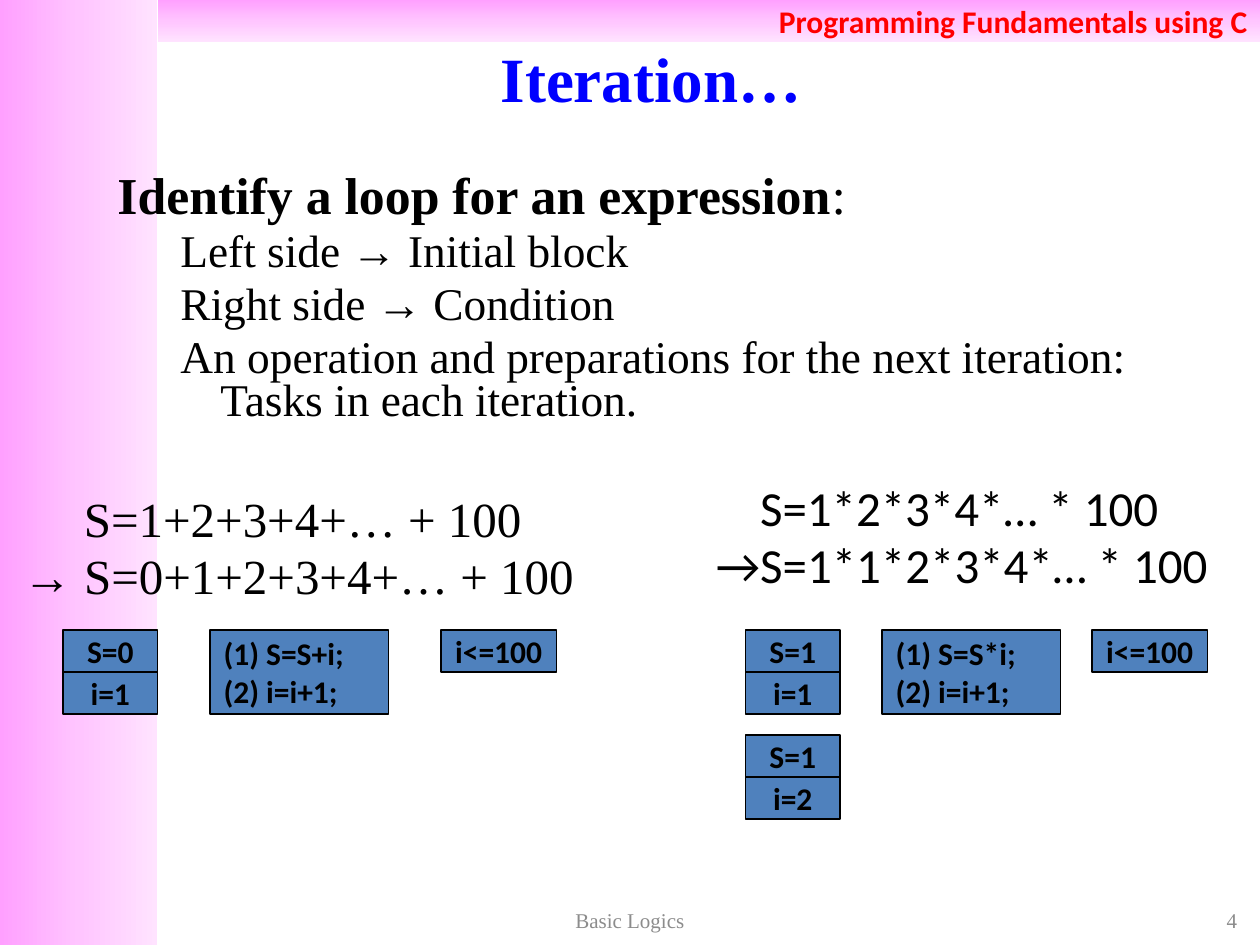
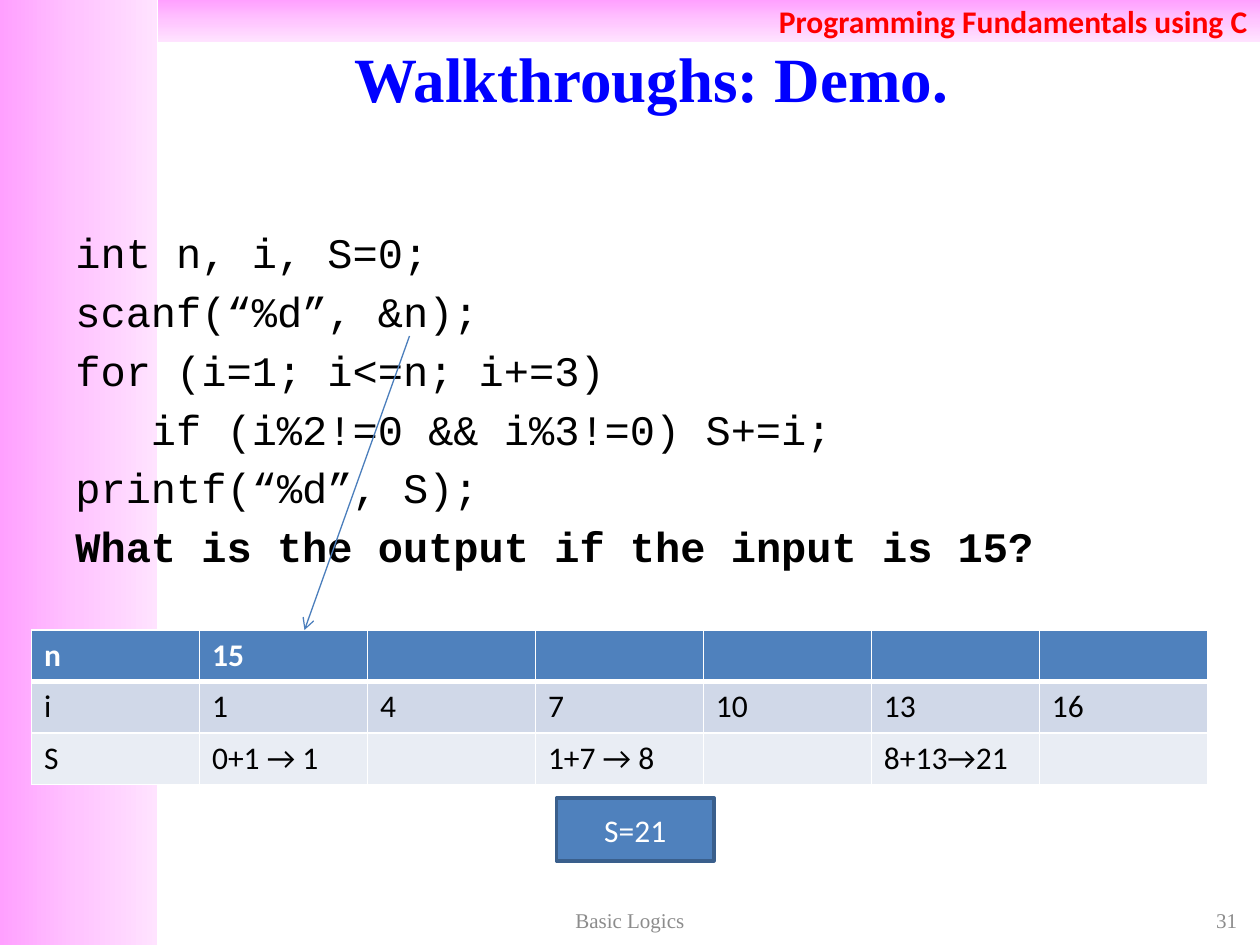
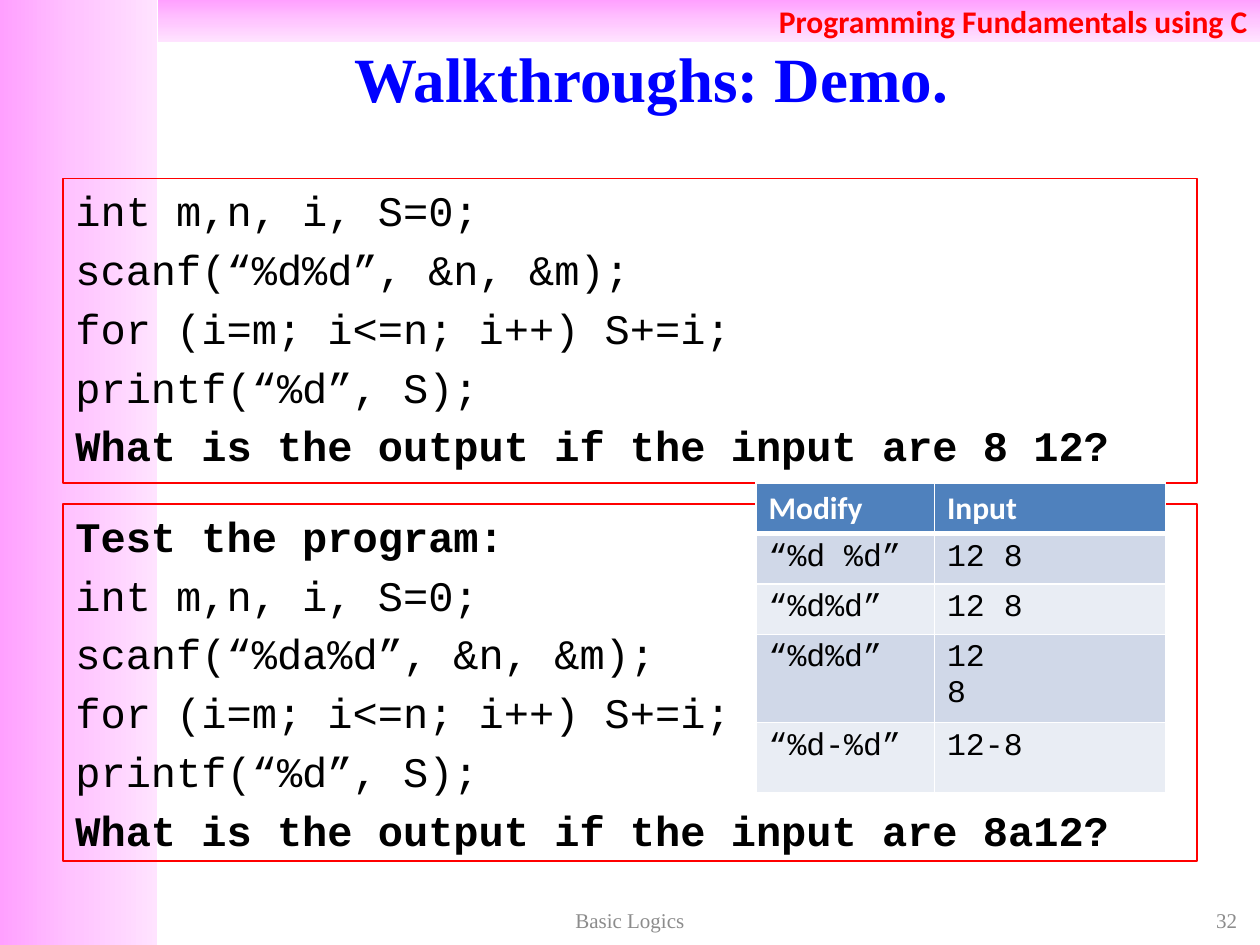
import copy
from dataclasses import dataclass
from typing import Any

import lxml.etree
import pptx
import pptx.dml.color
import pptx.enum.dml
import pptx.enum.shapes
import pptx.enum.text
import pptx.oxml.ns
import pptx.util

RGBColor = pptx.dml.color.RGBColor
Align = pptx.enum.text.PP_ALIGN
Anchor = pptx.enum.text.MSO_ANCHOR
qn = pptx.oxml.ns.qn

EMU_PER_PX = 7620  # 120 px to the inch
SLIDE_WIDTH, SLIDE_HEIGHT = 1200, 900
SIDE_WIDTH, BAND_HEIGHT = 150, 40
CHIP_ROW = 40
HANGING = 45

BLACK = RGBColor(0x00, 0x00, 0x00)
WHITE = RGBColor(0xFF, 0xFF, 0xFF)
RED = RGBColor(0xFF, 0x00, 0x00)
TITLE_BLUE = RGBColor(0x00, 0x00, 0xFF)
BLUE = RGBColor(0x4F, 0x81, 0xBD)
DARK_BLUE = RGBColor(0x3A, 0x5F, 0x8C)
ARROW_BLUE = RGBColor(0x4B, 0x7E, 0xBC)
GREY = RGBColor(0x8C, 0x8C, 0x8C)
ROW_FILLS = (RGBColor(0xD0, 0xD8, 0xE8), RGBColor(0xE9, 0xED, 0xF4))
PINKS = (RGBColor(0xFF, 0xA0, 0xFF), RGBColor(0xFF, 0xC5, 0xFF), RGBColor(0xFF, 0xE3, 0xFF))

SANS, SERIF, MONO = "Calibri", "Times New Roman", "Courier New"


def font_format(name: str, size: float, color: RGBColor = BLACK, bold: bool = False) -> dict[str, Any]:
    return {"name": name, "size": pptx.util.Pt(size), "bold": bold, "color": color}


BAND_FONT = font_format(SANS, 18, RED, True)
TITLE_FONT = font_format(SERIF, 36, TITLE_BLUE, True)
FOOTER_FONT = font_format(SERIF, 12, GREY)
HEADING_FONT = font_format(SERIF, 29.6)
POINT_FONT = font_format(SERIF, 25.9)
CODE_FONT = font_format(MONO, 24)
CHIP_FONT = font_format(SANS, 18, BLACK, True)
RESULT_FONT = font_format(SANS, 18, WHITE)
HEADER_FONT = font_format(SANS, 18, WHITE, True)

MIDDLE = {"vertical_anchor": Anchor.MIDDLE, "word_wrap": True}
TOP = {"vertical_anchor": Anchor.TOP, "word_wrap": True}


def px(length: int) -> pptx.util.Emu:
    return pptx.util.Emu(length * EMU_PER_PX)


CHIP_FRAME = {
    "vertical_anchor": Anchor.MIDDLE, "word_wrap": False,
    "margin_left": px(13), "margin_right": px(13), "margin_top": px(7), "margin_bottom": px(7),
}


@dataclass(frozen=True)
class Box:
    left: int
    top: int
    width: int
    height: int

    def emu(self) -> tuple[pptx.util.Emu, ...]:
        return tuple(px(length) for length in (self.left, self.top, self.width, self.height))


@dataclass(frozen=True)
class Line:
    """A paragraph; tail is a plain run after the main one, margin and indent are px."""
    text: str
    font: dict[str, Any]
    bold: bool = False
    tail: str = ""
    level: int = 0
    margin: int = HANGING
    indent: int = -HANGING
    spacing: float = 1.0


@dataclass(frozen=True)
class Chip:
    left: int
    top: int
    width: int
    lines: tuple[str, ...]


@dataclass(frozen=True)
class Grid:
    left: int
    top: int
    columns: tuple[int, ...]
    heights: tuple[int, ...]
    rows: tuple[tuple[str, ...], ...]
    font_name: str


def apply_format(target: Any, values: dict[str, Any]) -> None:
    for name, value in values.items():
        if name == "color":
            target.color.rgb = value
        else:
            setattr(target, name, value)


def add_run(paragraph: Any, text: str, font: dict[str, Any]) -> None:
    run = paragraph.add_run()
    run.text = text
    apply_format(run.font, font)


def next_paragraph(text_frame: Any, index: int) -> Any:
    return text_frame.add_paragraph() if index else text_frame.paragraphs[0]


def write(text_frame: Any, texts: tuple[str, ...], font: dict[str, Any],
          alignment: Any = Align.LEFT) -> None:
    for index, text in enumerate(texts):
        paragraph = next_paragraph(text_frame, index)
        paragraph.alignment = alignment
        add_run(paragraph, text, font)


def write_lines(text_frame: Any, lines: list[Line]) -> None:
    """Write indented paragraphs, each with a fifth of a line before it."""
    for index, line in enumerate(lines):
        paragraph = next_paragraph(text_frame, index)
        apply_format(paragraph, {"level": line.level, "line_spacing": line.spacing,
                                 "alignment": Align.LEFT})
        properties = paragraph._p.get_or_add_pPr()
        properties.set("marL", str(px(line.margin)))
        properties.set("indent", str(px(line.indent)))
        before = lxml.etree.Element(qn("a:spcBef"))
        lxml.etree.SubElement(before, qn("a:spcPct"), val="20000")
        properties.find(qn("a:lnSpc")).addnext(before)
        add_run(paragraph, line.text, line.font | {"bold": line.bold})
        if line.tail:
            add_run(paragraph, line.tail, line.font)


def add_rectangle(slide: Any, box: Box, frame: dict[str, Any], fill: RGBColor | None = None,
                  outline: RGBColor | None = None, weight: float = 0.75) -> Any:
    shape = slide.shapes.add_shape(pptx.enum.shapes.MSO_SHAPE.RECTANGLE, *box.emu())
    shape.shadow.inherit = False
    if fill is None:
        shape.fill.background()
    else:
        shape.fill.solid()
        shape.fill.fore_color.rgb = fill
    if outline is None:
        shape.line.fill.background()
    else:
        shape.line.color.rgb = outline
        shape.line.width = pptx.util.Pt(weight)
    apply_format(shape.text_frame, frame)
    return shape


def add_text(slide: Any, box: Box, frame: dict[str, Any]) -> Any:
    text_frame = slide.shapes.add_textbox(*box.emu()).text_frame
    apply_format(text_frame, frame)
    return text_frame


def add_pink_band(slide: Any, box: Box, angle: int) -> Any:
    shape = add_rectangle(slide, box, MIDDLE)
    shape.fill.gradient()
    shape.fill.gradient_angle = angle
    stop_list = shape._element.spPr.find(".//" + qn("a:gsLst"))
    stop_list.insert(1, copy.deepcopy(stop_list[0]))
    for index, (stop, color) in enumerate(zip(shape.fill.gradient_stops, PINKS)):
        stop.position = index / 2
        stop.color.rgb = color
    return shape


def add_base_slide(presentation: Any, title: str, number: int) -> Any:
    """Add a blank slide with bands, title and footers."""
    slide = presentation.slides.add_slide(presentation.slide_layouts[6])
    add_pink_band(slide, Box(0, 0, SIDE_WIDTH, SLIDE_HEIGHT), 0)
    band = add_pink_band(slide, Box(SIDE_WIDTH, 0, SLIDE_WIDTH - SIDE_WIDTH, BAND_HEIGHT), 270)
    write(band.text_frame, ("Programming Fundamentals using C",), BAND_FONT, Align.RIGHT)
    for box, text, font, alignment in (
        (Box(100, 36, 1040, 75), title, TITLE_FONT, Align.CENTER),
        (Box(910, 860, 280, 32), str(number), FOOTER_FONT, Align.RIGHT),
        (Box(410, 860, 380, 32), "Basic Logics", FOOTER_FONT, Align.CENTER),
    ):
        write(add_text(slide, box, MIDDLE), (text,), font, alignment)
    return slide


def add_chip(slide: Any, chip: Chip) -> None:
    box = Box(chip.left, chip.top, chip.width, CHIP_ROW * len(chip.lines))
    shape = add_rectangle(slide, box, CHIP_FRAME, BLUE, BLACK)
    alignment = Align.CENTER if len(chip.lines) == 1 else Align.LEFT
    write(shape.text_frame, chip.lines, CHIP_FONT, alignment)


def set_borders(cell: Any, row: int) -> None:
    """White borders, thicker between header and body."""
    weights = {"a:lnL": 1, "a:lnR": 1, "a:lnT": 3 if row == 1 else 1, "a:lnB": 3 if row == 0 else 1}
    properties = cell._tc.get_or_add_tcPr()
    for index, (tag, weight) in enumerate(weights.items()):
        border = lxml.etree.Element(qn(tag), w=str(pptx.util.Pt(weight)))
        fill = lxml.etree.SubElement(border, qn("a:solidFill"))
        lxml.etree.SubElement(fill, qn("a:srgbClr"), val=str(WHITE))
        properties.insert(index, border)


def add_grid(slide: Any, grid: Grid) -> None:
    box = Box(grid.left, grid.top, sum(grid.columns), sum(grid.heights))
    table = slide.shapes.add_table(len(grid.heights), len(grid.columns), *box.emu()).table
    for column, width in zip(table.columns, grid.columns):
        column.width = px(width)
    body_font = font_format(grid.font_name, 18)
    for row, (height, texts) in enumerate(zip(grid.heights, grid.rows)):
        table.rows[row].height = px(height)
        for column, text in enumerate(texts):
            cell = table.cell(row, column)
            cell.fill.solid()
            cell.fill.fore_color.rgb = ROW_FILLS[(row - 1) % 2] if row else BLUE
            set_borders(cell, row)
            if text:
                write(cell.text_frame, tuple(text.split("\n")), body_font if row else HEADER_FONT)


def add_arrow(slide: Any, start: tuple[int, int], end: tuple[int, int]) -> None:
    connector = slide.shapes.add_connector(
        pptx.enum.shapes.MSO_CONNECTOR.STRAIGHT, *(px(length) for length in start + end))
    connector.line.color.rgb = ARROW_BLUE
    connector.line.width = pptx.util.Pt(0.75)
    lxml.etree.SubElement(connector.line._get_or_add_ln(), qn("a:tailEnd"), type="arrow")
    lxml.etree.SubElement(connector._element.spPr, qn("a:effectLst"))


def code_lines(*texts: str) -> list[Line]:
    return [Line(text, CODE_FONT) for text in texts]


def question(text: str) -> Line:
    return Line(text, CODE_FONT, bold=True)


def series_lines(font_name: str, first: str, second: str, offset: int) -> list[Line]:
    """Two expressions, the first moved right to stand over the second one's S."""
    font = font_format(font_name, 28)
    return [Line(first, font, margin=offset, indent=0, spacing=0.8),
            Line(second, font, spacing=0.8)]


def build_iteration(presentation: Any) -> None:
    slide = add_base_slide(presentation, "Iteration…", 4)
    points = ("Left side → Initial block", "Right side → Condition",
              "An operation and preparations for the next iteration: Tasks in each iteration.")
    write_lines(add_text(slide, Box(100, 160, 1040, 270), TOP), [
        Line("Identify a loop for an expression", HEADING_FONT, bold=True, tail=":", spacing=0.8),
        *(Line(point, POINT_FONT, level=1, margin=98, indent=-38, spacing=0.8) for point in points),
    ])
    write_lines(add_text(slide, Box(10, 470, 560, 120), TOP),
                series_lines(SERIF, "S=1+2+3+4+… + 100", "→ S=0+1+2+3+4+… + 100", 58))
    write_lines(add_text(slide, Box(670, 460, 500, 120), TOP),
                series_lines(SANS, "S=1*2*3*4*… * 100", "→S=1*1*2*3*4*… * 100", 42))
    for start, task, condition, sign, initial in ((60, 200, 420, "+", "S=0"),
                                                  (710, 840, 1040, "*", "S=1")):
        add_chip(slide, Chip(start, 600, 90, (initial,)))
        add_chip(slide, Chip(start, 640, 90, ("i=1",)))
        add_chip(slide, Chip(condition, 600, 110, ("i<=100",)))
        add_chip(slide, Chip(task, 600, 170, (f"(1) S=S{sign}i;", "(2) i=i+1;")))
    add_chip(slide, Chip(710, 700, 90, ("S=1",)))
    add_chip(slide, Chip(710, 740, 90, ("i=2",)))


def build_trace(presentation: Any) -> None:
    slide = add_base_slide(presentation, "Walkthroughs: Demo.", 31)
    write_lines(add_text(slide, Box(60, 210, 1080, 360), TOP), [
        *code_lines("int n, i, S=0;", "scanf(“%d”, &n);", "for (i=1; i<=n; i+=3)"),
        Line("if (i%2!=0 && i%3!=0) S+=i;", CODE_FONT, margin=72, indent=0),
        *code_lines("printf(“%d”, S);"),
        question("What is the output if the input is 15?"),
    ])
    add_grid(slide, Grid(30, 600, (160,) * 7, (49,) * 3, (
        ("n", "15", "", "", "", "", ""),
        ("i", "1", "4", "7", "10", "13", "16"),
        ("S", "0+1 → 1", "", "1+7 → 8", "", "8+13→21", ""),
    ), SANS))
    result = add_rectangle(slide, Box(530, 760, 150, 60), MIDDLE, BLUE, DARK_BLUE, 2)
    write(result.text_frame, ("S=21",), RESULT_FONT, Align.CENTER)
    add_arrow(slide, (390, 320), (290, 600))


def build_input_formats(presentation: Any) -> None:
    slide = add_base_slide(presentation, "Walkthroughs: Demo.", 32)
    declaration = "int m,n, i, S=0;"
    ending = ("for (i=m; i<=n; i++) S+=i;", "printf(“%d”, S);")
    program = add_rectangle(slide, Box(60, 170, 1080, 290), TOP, outline=RED)
    write_lines(program.text_frame, [
        *code_lines(declaration, "scanf(“%d%d”, &n, &m);", *ending),
        question("What is the output if the input are 8 12?"),
    ])
    test = add_rectangle(slide, Box(60, 480, 1080, 340), TOP, outline=RED)
    write_lines(test.text_frame, [
        question("Test the program:"),
        *code_lines(declaration, "scanf(“%da%d”, &n, &m);", *ending),
        question("What is the output if the input are 8a12?"),
    ])
    add_grid(slide, Grid(720, 460, (170, 220), (43, 43, 43, 74, 67), (
        ("Modify", "Input"),
        ("“%d %d”", "12 8"),
        ("“%d%d”", "12 8"),
        ("“%d%d”", "12\n8"),
        ("“%d-%d”", "12-8"),
    ), MONO))


def main() -> None:
    presentation = pptx.Presentation()
    presentation.slide_width = px(SLIDE_WIDTH)
    presentation.slide_height = px(SLIDE_HEIGHT)
    build_iteration(presentation)
    build_trace(presentation)
    build_input_formats(presentation)
    presentation.save("out.pptx")


if __name__ == "__main__":
    main()
